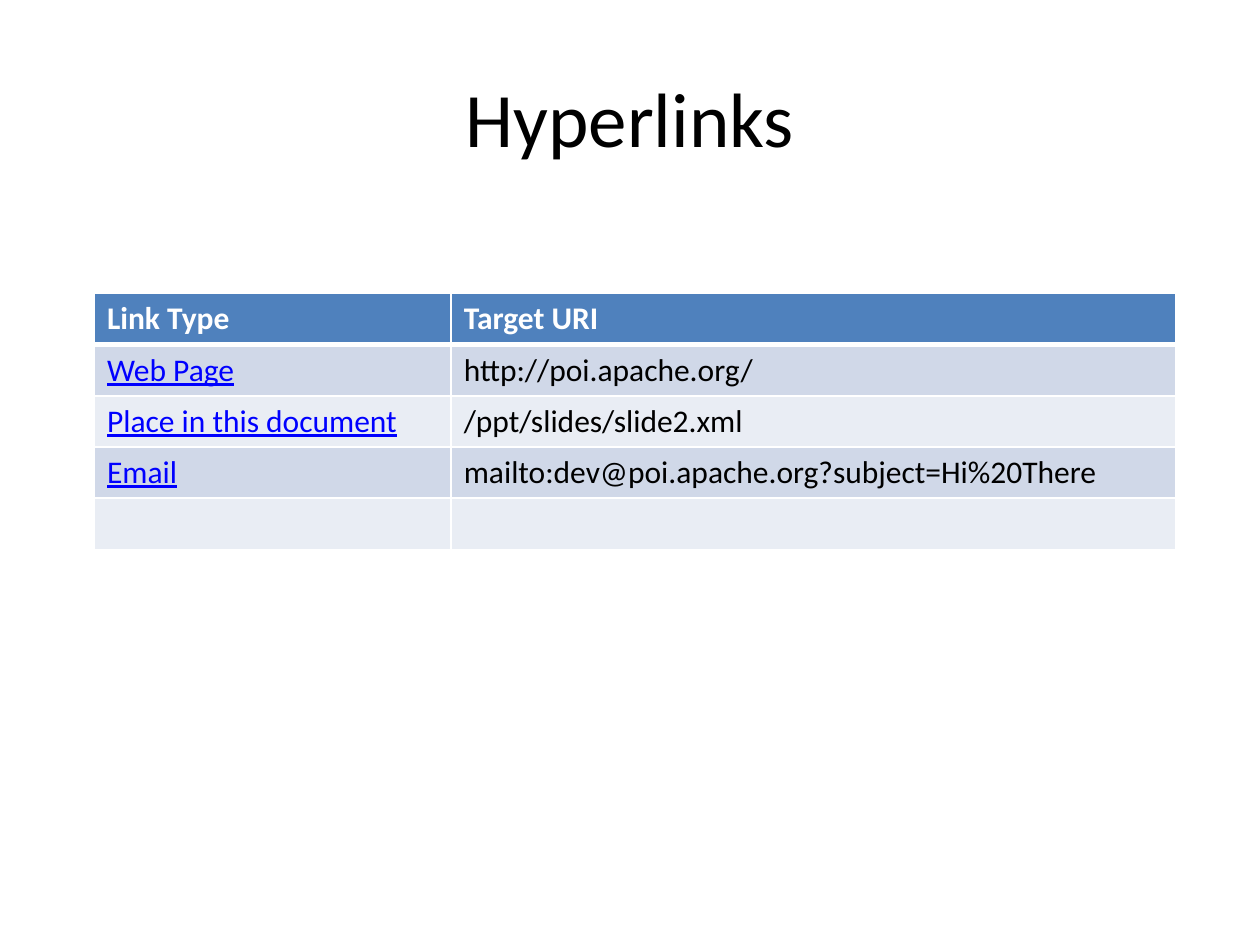
from lxml import etree
from pptx import Presentation
from pptx.dml.color import RGBColor
from pptx.enum.text import MSO_ANCHOR, PP_ALIGN
from pptx.oxml.ns import qn
from pptx.util import Inches, Pt

MIDDLE = MSO_ANCHOR.MIDDLE
CENTER = PP_ALIGN.CENTER
TITLE_ONLY = 5
FONT = "Calibri"
BLACK, WHITE, LINK_BLUE = "000000", "FFFFFF", "0000FF"
HEADER_FILL = "4F81BD"
BAND_FILLS = ("D0D8E8", "E9EDF4")
THIN, THICK = 0.96, 3
ROWS = [
    ("Link Type", "Target URI"),
    ("Web Page", "http://poi.apache.org/"),
    ("Place in this document", "/ppt/slides/slide2.xml"),
    ("Email", "mailto:dev@poi.apache.org?subject=Hi%20There"),
    ("", ""),
]


def color(value):
    return RGBColor.from_string(value)


def style_font(font, size, value):
    font.name = FONT
    font.size = Pt(size)
    font.color.rgb = color(value)


def add_title(page, text, left, top, width, height):
    title = page.shapes.title
    title.left, title.top = left, top
    title.width, title.height = width, height
    frame = title.text_frame
    frame.text = text
    frame.vertical_anchor = MIDDLE
    para = frame.paragraphs[0]
    para.alignment = CENTER
    style_font(para.font, 44, BLACK)


def set_borders(cell, top, bottom):
    """Draw white edges; top and bottom widths are in points."""
    properties = cell._tc.get_or_add_tcPr()
    for side, width in (("L", THIN), ("R", THIN), ("T", top), ("B", bottom)):
        line = etree.SubElement(properties, qn(f"a:ln{side}"), w=str(Pt(width)))
        fill = etree.SubElement(line, qn("a:solidFill"))
        etree.SubElement(fill, qn("a:srgbClr"), val=WHITE)


def fill_cell(cell, text, row, column):
    set_borders(cell, THICK if row == 1 else THIN, THICK if row == 0 else THIN)
    is_header = row == 0
    is_link = not is_header and column == 0
    cell.fill.solid()
    cell.fill.fore_color.rgb = color(
        HEADER_FILL if is_header else BAND_FILLS[(row - 1) % 2])
    cell.text = text
    font = cell.text_frame.paragraphs[0].font
    style_font(font, 18, WHITE if is_header else LINK_BLUE if is_link else BLACK)
    font.bold = is_header
    font.underline = is_link


def add_link_table(page, left, top, width, height):
    column_shares = (0.33, 0.67)
    table = page.shapes.add_table(
        len(ROWS), len(column_shares), left, top, width, height).table
    for column, share in zip(table.columns, column_shares):
        column.width = int(width * share)
    for row, texts in enumerate(ROWS):
        for column, text in enumerate(texts):
            fill_cell(table.cell(row, column), text, row, column)


def main():
    deck = Presentation()
    deck.slide_width, deck.slide_height = Inches(10), Inches(7.5)
    page = deck.slides.add_slide(deck.slide_layouts[TITLE_ONLY])
    add_title(page, "Hyperlinks", Inches(0.5), Inches(0.3), Inches(9), Inches(1.25))
    add_link_table(page, Inches(0.75), Inches(2.33), Inches(8.58), Inches(2.03))
    deck.save("out.pptx")


if __name__ == "__main__":
    main()
